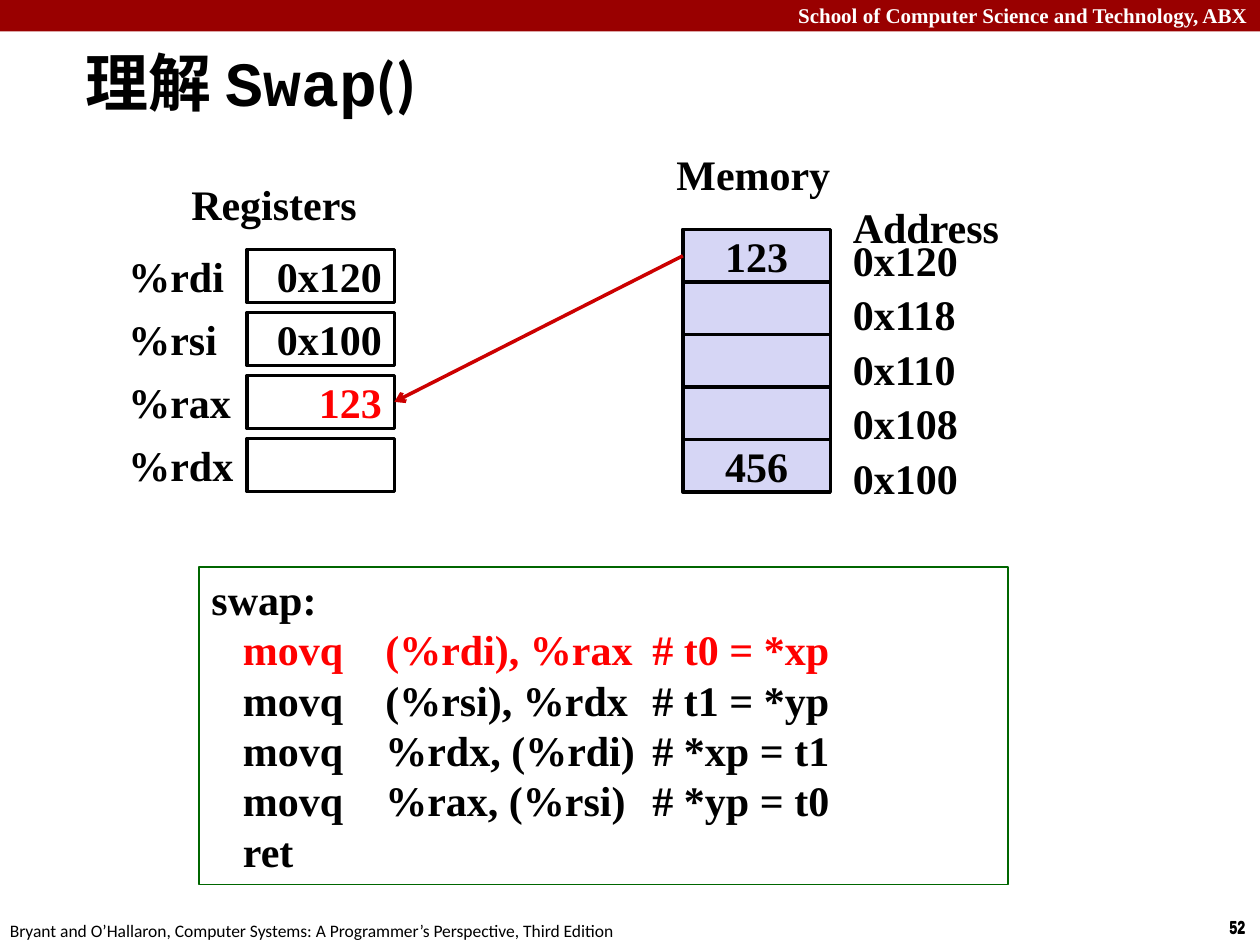
"""Builds the slide that traces the first step of Swap() through registers and memory."""
from dataclasses import dataclass

from lxml.etree import SubElement
from pptx import Presentation
from pptx.dml.color import RGBColor
from pptx.enum.shapes import MSO_CONNECTOR as Connector, MSO_SHAPE as Shape
from pptx.enum.text import MSO_ANCHOR as Anchor, PP_ALIGN as Align
from pptx.oxml.ns import qn
from pptx.util import Inches, Pt


@dataclass(frozen=True)
class Theme:
    band: str = "990000"
    ink: str = "000000"
    paper: str = "FFFFFF"
    memory: str = "D6D6F5"
    active: str = "FF0000"
    arrow: str = "CC0000"
    code_edge: str = "006600"
    serif: str = "Times New Roman"
    sans: str = "Calibri"
    mono: str = "Courier New"
    narrow: str = "Arial Narrow"
    title: int = 36
    body: int = 24
    header: int = 12
    footer: int = 10


THEME = Theme()
SCHOOL = "School of Computer Science and Technology, ABX"
SOURCE = "Bryant and O’Hallaron, Computer Systems: A Programmer’s Perspective, Third Edition"
PAGE = "52"
TITLE = [("理解", THEME.sans), (" Swap", THEME.mono), ("()", THEME.sans)]
HEADINGS = [
    ("Registers", (1.42, 1.37, 1.53, 0.5), False),
    ("Memory", (5.27, 1.13, 1.43, 0.5), False),
    ("Address", (6.67, 1.55, 1.83, 0.91), True),
]
REGISTERS = [("%rdi", "0x120"), ("%rsi", "0x100"), ("%rax", "123"), ("%rdx", "")]
MEMORY = [("0x120", "123"), ("0x118", ""), ("0x110", ""), ("0x108", ""), ("0x100", "456")]
LOADED = "%rax"
CODE = [
    ("swap:",),
    ("", "movq", "(%rdi), %rax", "# t0 = *xp"),
    ("", "movq", "(%rsi), %rdx", "# t1 = *yp"),
    ("", "movq", "%rdx, (%rdi)", "# *xp = t1"),
    ("", "movq", "%rax, (%rsi)", "# *yp = t0"),
    ("", "ret"),
]
CURRENT_LINE = 1
CODE_TABS = (0.25, 1.38, 3.5)

WIDTH, HEIGHT = 10, 7.5
CELL_W, CELL_H = 1.17, 0.42
REGISTER_TOP, REGISTER_STEP = 1.98, 0.5
MEMORY_TOP, MEMORY_STEP = 1.82, 5 / 12
ADDRESS_TOP, ADDRESS_STEP = 1.81, 0.433
LABEL_X, REGISTER_X, MEMORY_X, ADDRESS_X = 0.92, 1.96, 5.42, 6.67


def rgb(value):
    return RGBColor.from_string(value)


def style(font, size=THEME.body, face=THEME.serif, color=THEME.ink, bold=True):
    font.size, font.name, font.bold = Pt(size), face, bold
    font.color.rgb = rgb(color)


def add_text(slide, text, box, align=Align.LEFT, wrap=True, **look):
    frame = slide.shapes.add_textbox(*map(Inches, box)).text_frame
    frame.word_wrap = wrap
    paragraph = frame.paragraphs[0]
    paragraph.text, paragraph.alignment = text, align
    style(paragraph.font, **look)
    return frame


def add_box(slide, box, fill=None, edge=None, weight=2):
    rect = slide.shapes.add_shape(Shape.RECTANGLE, *map(Inches, box))
    rect.shadow.inherit = False
    if fill:
        rect.fill.solid()
        rect.fill.fore_color.rgb = rgb(fill)
    else:
        rect.fill.background()
    if edge:
        rect.line.color.rgb = rgb(edge)
        rect.line.width = Pt(weight)
    else:
        rect.line.fill.background()
    return rect


def add_cell(slide, text, box, align, fill=THEME.paper, edge=THEME.ink, color=THEME.ink):
    cell = add_box(slide, box, fill, edge)
    if text:
        frame = cell.text_frame
        frame.margin_top = frame.margin_bottom = 0
        frame.vertical_anchor = Anchor.MIDDLE
        paragraph = frame.paragraphs[0]
        paragraph.text, paragraph.alignment = text, align
        style(paragraph.font, color=color)
    return cell


def add_page_frame(slide):
    add_box(slide, (0, 0, WIDTH, 0.25), THEME.band)
    add_text(slide, SCHOOL, (0, -0.03, WIDTH, 0.3), Align.RIGHT,
             size=THEME.header, color=THEME.paper)
    for top in (7.23, 7.22):
        add_text(slide, PAGE, (9.66, top, 0.34, 0.27), wrap=False,
                 size=THEME.footer, face=THEME.narrow)
    add_text(slide, SOURCE, (-0.02, 7.25, 5.08, 0.27), wrap=False,
             size=THEME.footer, face=THEME.sans, bold=False)


def add_title(slide):
    frame = add_text(slide, "", (0.58, 0.33, 6.97, 0.63))
    frame.vertical_anchor = Anchor.MIDDLE
    for text, face in TITLE:
        run = frame.paragraphs[0].add_run()
        run.text = text
        style(run.font, THEME.title, face)


def add_registers(slide):
    cells = {}
    for row, (name, value) in enumerate(REGISTERS):
        top = REGISTER_TOP + row * REGISTER_STEP
        add_cell(slide, name, (LABEL_X, top, 1.05, CELL_H), Align.LEFT, edge=None)
        color = THEME.active if name == LOADED else THEME.ink
        cells[name] = add_cell(slide, value, (REGISTER_X, top, CELL_W, CELL_H),
                               Align.RIGHT, color=color)
    return cells


def add_memory(slide):
    cells = []
    for row, (address, value) in enumerate(MEMORY):
        top = MEMORY_TOP + row * MEMORY_STEP
        cells.append(add_cell(slide, value, (MEMORY_X, top, CELL_W, CELL_H),
                              Align.CENTER, fill=THEME.memory))
        add_text(slide, address, (ADDRESS_X, ADDRESS_TOP + row * ADDRESS_STEP, 1.83, 0.5))
    return cells


def add_load_arrow(slide, memory_cell, register):
    arrow = slide.shapes.add_connector(Connector.STRAIGHT, 0, 0, 0, 0)
    arrow.begin_connect(memory_cell, 1)
    arrow.end_connect(register, 3)
    arrow.line.color.rgb = rgb(THEME.arrow)
    arrow.line.width = Pt(2)
    SubElement(arrow.line._get_or_add_ln(), qn("a:tailEnd"), type="arrow")
    SubElement(arrow._element.spPr, qn("a:effectLst"))


def add_code(slide):
    frame = add_box(slide, (1.58, 4.5, 6.42, 2.52), edge=THEME.code_edge, weight=1).text_frame
    frame.word_wrap = True
    frame.vertical_anchor = Anchor.TOP
    for row, parts in enumerate(CODE):
        paragraph = frame.add_paragraph() if row else frame.paragraphs[0]
        paragraph.text = "\t".join(parts)
        paragraph.alignment = Align.LEFT
        paragraph.line_spacing = Pt(1.2 * THEME.body)
        style(paragraph.font, color=THEME.active if row == CURRENT_LINE else THEME.ink)
        stops = paragraph._p.get_or_add_pPr()
        tabs = stops.makeelement(qn("a:tabLst"), {})
        for position in CODE_TABS:
            SubElement(tabs, qn("a:tab"), pos=str(Inches(position)), algn="l")
        stops.find(qn("a:defRPr")).addprevious(tabs)


def main():
    deck = Presentation()
    deck.slide_width, deck.slide_height = Inches(WIDTH), Inches(HEIGHT)
    slide = deck.slides.add_slide(deck.slide_layouts[6])
    add_page_frame(slide)
    add_title(slide)
    memory = add_memory(slide)
    registers = add_registers(slide)
    for heading, box, wrap in HEADINGS:
        add_text(slide, heading, box, wrap=wrap)
    add_load_arrow(slide, memory[0], registers[LOADED])
    add_code(slide)
    deck.save("out.pptx")


if __name__ == "__main__":
    main()
